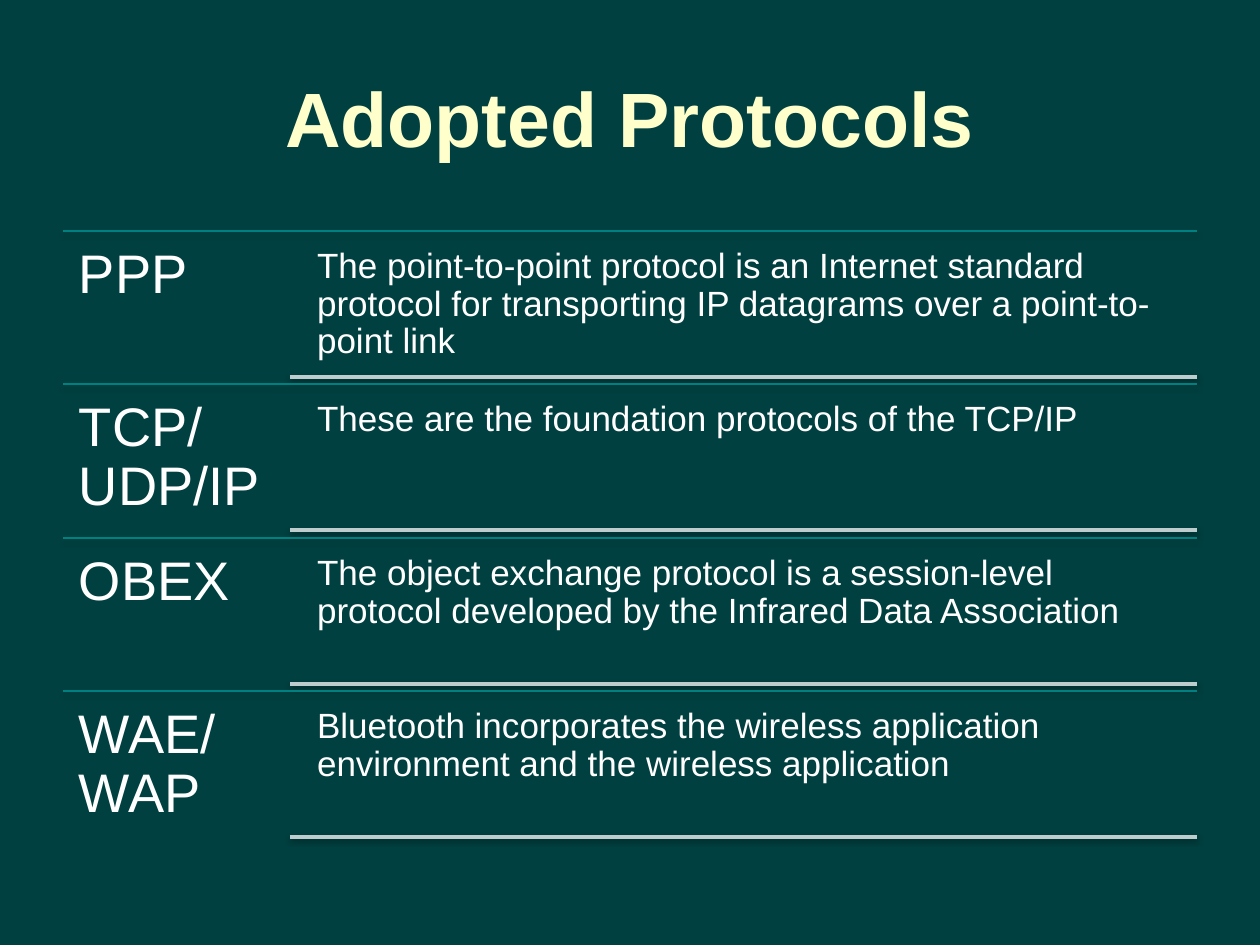
from lxml import etree
from pptx import Presentation
from pptx import util as u
from pptx.dml.color import RGBColor
from pptx.enum import shapes, text
from pptx.oxml import parse_xml
from pptx.oxml.ns import nsdecls

EMU_PER_PX = 914400 / 126
COLORS = {"background": "004040", "title": "FFFFCC", "text": "FFFFFF",
          "divider": "008080", "underline": "BDCDCD"}
PROTOCOLS = [
    ("PPP", "The point-to-point protocol is an Internet standard protocol for "
            "transporting IP datagrams over a point-to-point link"),
    ("TCP/UDP/IP", "These are the foundation protocols of the TCP/IP"),
    ("OBEX", "The object exchange protocol is a session-level protocol "
             "developed by the Infrared Data Association"),
    ("WAE/WAP", "Bluetooth incorporates the wireless application environment "
                "and the wireless application"),
]
LEFT, RIGHT, TOP, BOTTOM = 63, 1197, 231, 845
LABEL_WIDTH = 227


def px(value):
    return u.Emu(round(value * EMU_PER_PX))


def rgb(name):
    return RGBColor.from_string(COLORS[name])


class SlideBuilder:
    """Holds the style and the slide being filled."""

    font = "Arial"

    def __init__(self, slide):
        self.slide = slide
        fill = slide.background.fill
        fill.solid()
        fill.fore_color.rgb = rgb("background")
        self.group = None

    def start_group(self):
        self.group = self.slide.shapes.add_group_shape()

    def style(self, paragraph, size, color, bold=False):
        font = paragraph.font
        font.name, font.size, font.bold = self.font, u.Pt(size), bold
        font.color.rgb = rgb(color)

    def title(self, wording, left, top, width, height):
        title = self.slide.shapes.title
        title.left, title.top = px(left), px(top)
        title.width, title.height = px(width), px(height)
        frame = title.text_frame
        frame.text = wording
        frame.vertical_anchor = text.MSO_ANCHOR.MIDDLE
        frame.paragraphs[0].alignment = text.PP_ALIGN.CENTER
        self.style(frame.paragraphs[0], 44, "title", bold=True)

    def text(self, wording, left, top, width, height, size, inset):
        box = self.group.shapes.add_textbox(px(left), px(top), px(width), px(height))
        frame = box.text_frame
        frame.word_wrap = True
        frame.margin_left = frame.margin_right = px(inset)
        frame.margin_top = frame.margin_bottom = px(inset)
        para = frame.paragraphs[0]
        para.text = wording
        para.line_spacing = 0.9
        self.style(para, size, "text")

    def rule(self, left, y, right, color, width, distance, opacity):
        """Draw a horizontal line with a soft shadow below it."""
        line = self.group.shapes.add_connector(
            shapes.MSO_CONNECTOR.STRAIGHT, px(left), px(y), px(right), px(y))
        line.line.color.rgb = rgb(color)
        line.line.width = u.Pt(width)
        line._element.spPr.append(parse_xml(
            f'<a:effectLst {nsdecls("a")}>'
            f'<a:outerShdw blurRad="40000" dist="{distance}" dir="5400000" rotWithShape="0">'
            f'<a:srgbClr val="000000"><a:alpha val="{opacity * 1000}"/></a:srgbClr>'
            '</a:outerShdw></a:effectLst>'))


def main():
    deck = Presentation()
    deck.slide_width, deck.slide_height = px(1260), px(945)
    page = SlideBuilder(deck.slides.add_slide(deck.slide_layouts[5]))
    page.title("Adopted Protocols", LEFT, 38, RIGHT - LEFT, 157)
    page.start_group()
    column = LEFT + LABEL_WIDTH
    for index, (label, description) in enumerate(PROTOCOLS):
        top = TOP + index * (BOTTOM - TOP) // len(PROTOCOLS)
        page.rule(LEFT, top, RIGHT, "divider", 0.75, 23000, 35)
        page.text(label, LEFT, top, LABEL_WIDTH, 154, 31, 16)
        page.text(description, column + 17, top + 7, 891, 140, 20, 10)
        page.rule(column, top + 146, RIGHT, "underline", 2, 20000, 38)
    deck.save("out.pptx")


if __name__ == "__main__":
    main()
